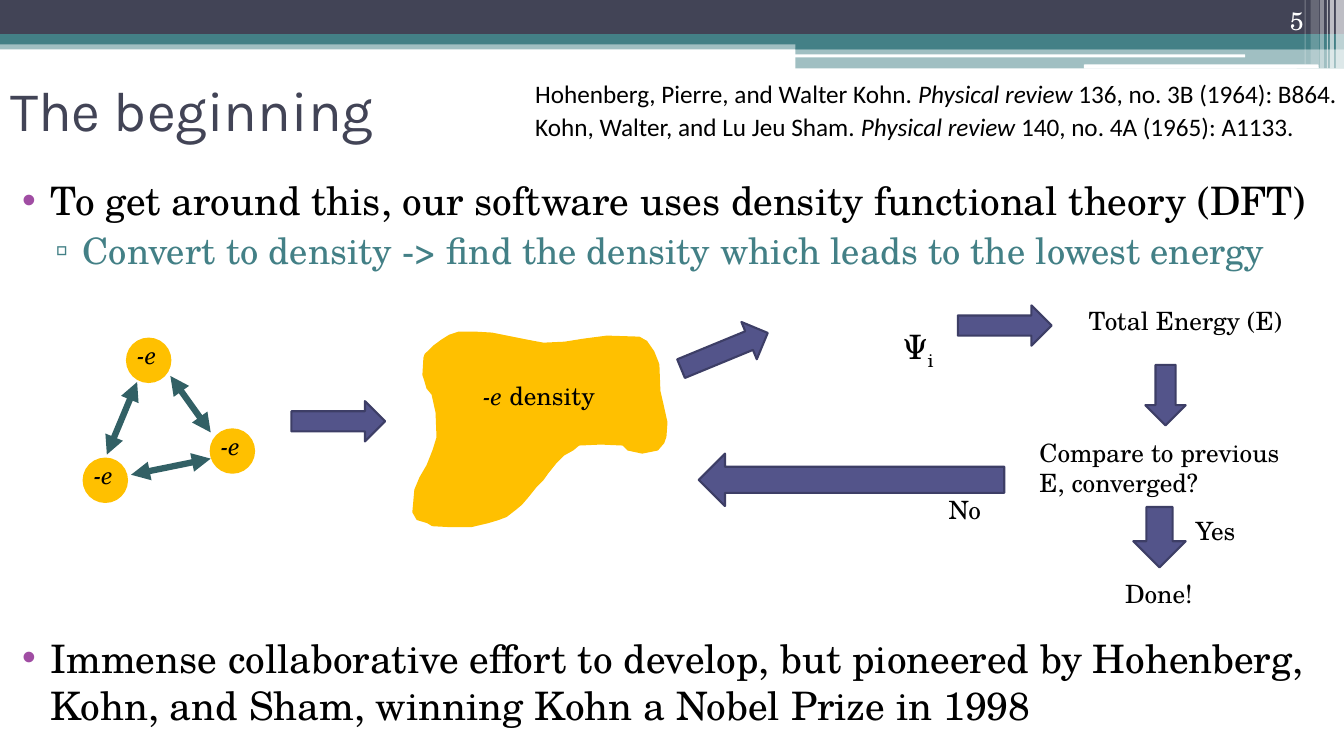
from lxml import etree
from pptx import Presentation
from pptx.dml.color import RGBColor
from pptx.enum.shapes import MSO_CONNECTOR, MSO_SHAPE
from pptx.enum.text import MSO_ANCHOR, MSO_AUTO_SIZE, PP_ALIGN
from pptx.oxml.ns import qn
from pptx.util import Pt

PX = 9144
RECT, ROUND = MSO_SHAPE.RECTANGLE, MSO_SHAPE.ROUNDED_RECTANGLE
OVAL, ARROW = MSO_SHAPE.OVAL, MSO_SHAPE.RIGHT_ARROW
STRAIGHT = MSO_CONNECTOR.STRAIGHT
LEFT, RIGHT = PP_ALIGN.LEFT, PP_ALIGN.RIGHT
TOP, MIDDLE, BOTTOM = MSO_ANCHOR.TOP, MSO_ANCHOR.MIDDLE, MSO_ANCHOR.BOTTOM
SERIF, SANS, HEADING = "TeX Gyre Schola", "Calibri", "Karla"
COLORS = {
    "navy": "424456", "teal": "438086", "white": "FFFFFF", "black": "000000",
    "purple": "A04DA3", "gold": "FFC000", "link": "326065",
    "arrow": "53548A", "edge": "3D3E66",
}

TITLE = "The beginning"
BULLETS = [
    ("To get around this, our software uses density functional theory (DFT)",
     0, "•", "purple", "black", 28, 0, 40, -28),
    ("Convert to density -> find the density which leads to the lowest energy",
     1, "▫", "teal", "teal", 26, 3, 72, -27),
    ("Immense collaborative effort to develop, but pioneered by Hohenberg, "
     "Kohn, and Sham, winning Kohn a Nobel Prize in 1998",
     0, "•", "purple", "black", 28, 259, 40, -28),
]
CITATIONS = [
    [("Hohenberg, Pierre, and Walter Kohn. ", ""), ("Physical review", "italic"),
     (" 136, no. 3B (1964): B864.", "")],
    [("Kohn, Walter, and Lu Jeu Sham. ", ""), ("Physical review", "italic"),
     (" 140, no. 4A (1965): A1133.", "")],
]
BANDS = [
    (RECT, 0, 40, 1333, 9, "teal", 50),
    (RECT, 0, 0, 1333, 34, "navy", 100),
    (RECT, 0, 34, 1333, 10, "teal", 100),
    (RECT, 789, 39, 544, 10, "teal", 100),
    (RECT, 789, 48, 544, 20, "teal", 50),
    (ROUND, 788, 54, 447, 3, "white", 100),
    (ROUND, 1075, 64, 233, 4, "white", 100),
    (RECT, 1325, 0, 8, 68, "white", 65),
    (RECT, 1319, 0, 4, 68, "white", 65),
    (RECT, 1316, 0, 1, 68, "white", 60),
    (RECT, 1309, 0, 4, 68, "white", 40),
    (RECT, 1300, 0, 8, 64, "white", 20),
    (RECT, 1294, 0, 1, 64, "white", 30),
]
ELECTRONS = [(209, 426), (126, 336), (83, 455)]
LINKS = [(169, 373, 209, 429), (130, 471, 209, 455), (106, 451, 136, 379)]
ARROWS = [
    (289, 398, 93, 40, 0), (672, 328, 93, 40, 337.6), (950, 303, 93, 40, 0),
    (1126, 372, 60, 40, 90), (693, 450, 303, 52, 180), (1120, 507, 60, 52, 90),
]
LABELS = [
    (469, 372, 135, 40, 18, [("-e ", "italic"), ("density", "")]),
    (1070, 298, 213, 40, 18, [("Total Energy (E)", "")]),
    (886, 318, 58, 50, 24, [("Ψ", ""), ("i", "subscript")]),
    (1021, 429, 269, 71, 18, [("Compare to previous E, converged?", "")]),
    (931, 485, 73, 40, 18, [("No", "")]),
    (1176, 506, 73, 40, 18, [("Yes", "")]),
    (1106, 569, 98, 40, 18, [("Done!", "")]),
]
CLOUD = [
    (623, 446), (618, 441), (596, 440), (574, 441), (568, 446), (559, 451),
    (551, 459), (543, 469), (538, 476), (531, 483), (523, 493), (517, 500),
    (511, 505), (502, 512), (494, 515), (484, 518), (467, 522), (448, 522),
    (429, 521), (424, 518), (414, 515), (410, 508), (412, 486), (417, 474),
    (424, 462), (430, 447), (434, 434), (433, 409), (431, 400), (429, 391),
    (424, 385), (422, 378), (420, 372), (421, 355), (422, 352), (430, 344),
    (438, 338), (446, 333), (455, 330), (471, 330), (488, 331), (508, 335),
    (528, 339), (539, 341), (560, 340), (579, 337), (602, 334), (634, 335),
    (641, 339), (648, 349), (652, 359), (653, 362), (654, 388), (657, 401),
    (659, 410), (661, 419), (660, 433), (658, 439), (652, 446), (637, 449),
]


def rgb(name):
    return RGBColor.from_string(COLORS[name])


def place(item, *bounds):
    item.left, item.top, item.width, item.height = [value * PX for value in bounds]


def paint(shape, fill, line=None, opacity=100):
    shape.shadow.inherit = False
    shape.fill.solid()
    shape.fill.fore_color.rgb = rgb(fill)
    if opacity < 100:
        color = next(shape._element.spPr.iter(qn("a:srgbClr")))
        etree.SubElement(color, qn("a:alpha"), val=str(opacity * 1000))
    if line:
        shape.line.color.rgb = rgb(line)
        shape.line.width = Pt(1.5)
    else:
        shape.line.fill.background()


def add_shape(kind, *bounds):
    return page.shapes.add_shape(kind, *[value * PX for value in bounds])


def style(para, face, size, color, align=LEFT):
    para.alignment = align
    para.font.name = face
    para.font.size = Pt(size)
    para.font.color.rgb = rgb(color)


def prepare(frame, anchor):
    frame.word_wrap = True
    frame.auto_size = MSO_AUTO_SIZE.NONE
    frame.vertical_anchor = anchor


def add_text(bounds, lines, size, face=SERIF, color="black", align=LEFT,
             anchor=TOP, spacing=1):
    box = page.shapes.add_textbox(*[value * PX for value in bounds])
    frame = box.text_frame
    prepare(frame, anchor)
    for index, spans in enumerate(lines):
        para = frame.add_paragraph() if index else frame.paragraphs[0]
        para.line_spacing = spacing
        style(para, face, size, color, align)
        for text, look in spans:
            span = para.add_run()
            span.text = text
            if look == "italic":
                span.font.italic = True
            if look == "subscript":
                span.font._element.set("baseline", "-25000")
    return frame


deck = Presentation()
deck.slide_width, deck.slide_height = 1333 * PX, 750 * PX
page = deck.slides.add_slide(deck.slide_layouts[1])
title, body = page.placeholders

for kind, *bounds, color, opacity in BANDS:
    paint(add_shape(kind, *bounds), color, opacity=opacity)

place(title, 0, 50, 1200, 117)
prepare(title.text_frame, MIDDLE)
title.text_frame.text = TITLE
style(title.text_frame.paragraphs[0], HEADING, 40, "navy")

place(body, 0, 170, 1333, 563)
prepare(body.text_frame, TOP)
for index, (text, level, mark, mark_color, color, size, before, margin, indent) in enumerate(BULLETS):
    para = body.text_frame.add_paragraph() if index else body.text_frame.paragraphs[0]
    para.text = text
    para.level = level
    para.space_before = Pt(before)
    props = para._p.get_or_add_pPr()
    props.set("marL", str(margin * PX))
    props.set("indent", str(indent * PX))
    tint = etree.SubElement(props, qn("a:buClr"))
    etree.SubElement(tint, qn("a:srgbClr"), val=COLORS[mark_color])
    etree.SubElement(props, qn("a:buChar"), char=mark)
    style(para, SERIF, size, color)

add_text((1192, 0, 111, 40), [[("5", "")]], 18, color="white", align=RIGHT, anchor=BOTTOM)

for left, top in ELECTRONS:
    paint(add_shape(OVAL, left, top, 43, 43), "gold", "gold")
    add_text((left, top - 4, 47, 40), [[("-e", "italic")]], 18)

for ends in LINKS:
    link = page.shapes.add_connector(STRAIGHT, *[value * PX for value in ends])
    link.line.color.rgb = rgb("link")
    link.line.width = Pt(4.5)
    props = link._element.spPr
    for end in ("a:headEnd", "a:tailEnd"):
        etree.SubElement(props.find(qn("a:ln")), qn(end), type="triangle")
    etree.SubElement(props, qn("a:effectLst"))

builder = page.shapes.build_freeform(*CLOUD[0], scale=PX)
builder.add_line_segments(CLOUD[1:], close=True)
paint(builder.convert_to_shape(), "gold", "gold")

for *bounds, angle in ARROWS:
    arrow = add_shape(ARROW, *bounds)
    arrow.rotation = angle
    paint(arrow, "arrow", "edge")

for *bounds, size, spans in LABELS:
    add_text(bounds, [spans], size)

citation = add_text((521, 71, 812, 73), CITATIONS, 18, face=SANS, spacing=1.07)
citation.margin_right = 0

deck.save("out.pptx")
